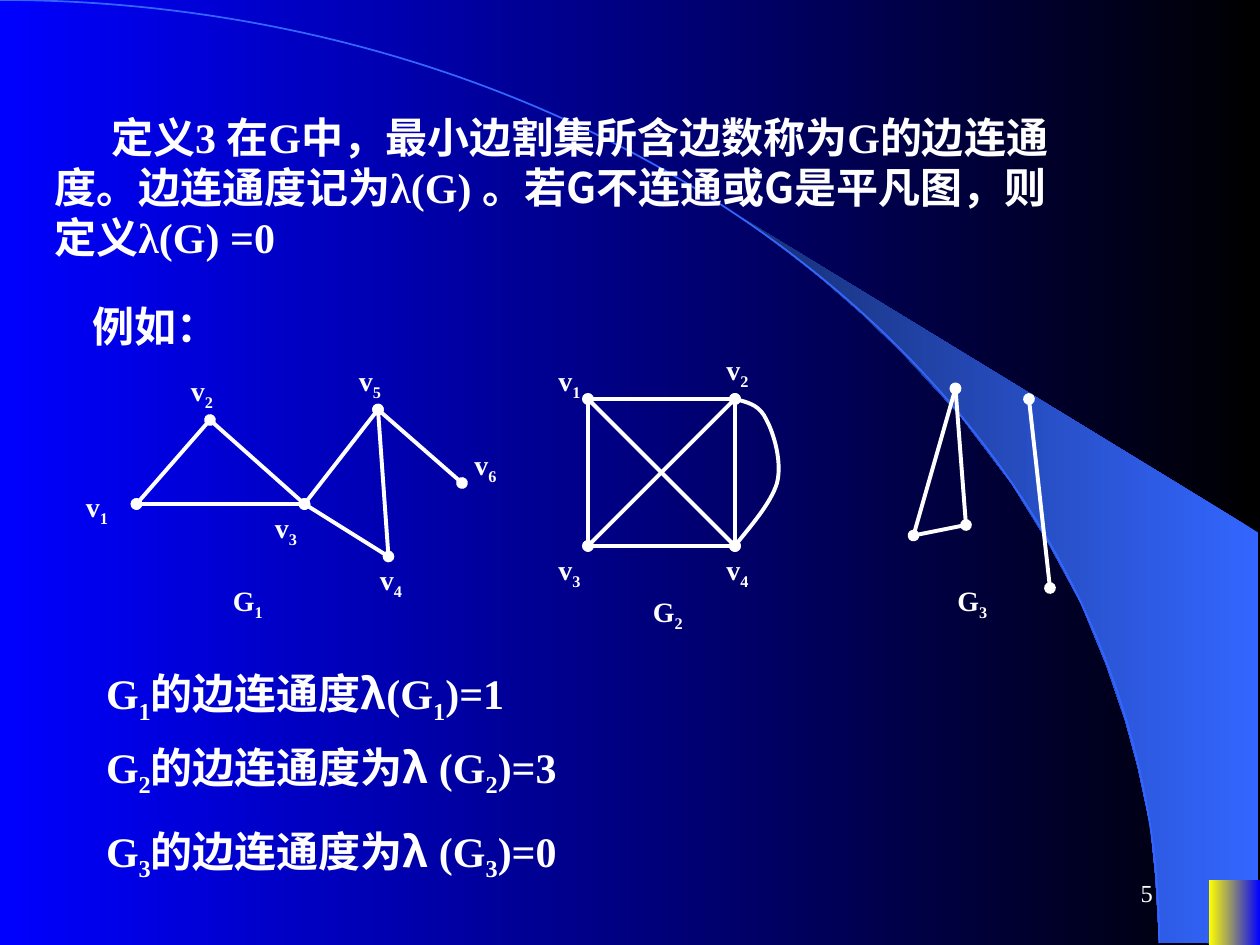
from lxml.etree import SubElement
from pptx import Presentation
from pptx.dml.color import RGBColor
from pptx.enum.shapes import MSO_CONNECTOR, MSO_SHAPE
from pptx.enum.text import MSO_ANCHOR, MSO_AUTO_SIZE, PP_ALIGN
from pptx.oxml.ns import qn
from pptx.util import Inches, Pt

WHITE = RGBColor(0xFF, 0xFF, 0xFF)
BLACK = RGBColor(0, 0, 0)
BLUE = RGBColor(0, 0, 0xFF)
YELLOW = RGBColor(0xFF, 0xFF, 0)
SKY = RGBColor(0x33, 0x66, 0xFF)
NAVY = RGBColor(0x17, 0x2F, 0x75)
SERIF, SANS = "Times New Roman", "Noto Sans CJK SC"
SUB = "sub"

COLUMNS, ROWS = 120, 90
CELL = Inches(10) / COLUMNS

DEFINITION = [
    ("定义3 在G中，最小边割集所含边数称为G的边连通度。边连通度记为λ(G) ", SERIF),
    ("。若G不连通或G是平凡图，则定义", SANS),
    ("λ(G) =0", SERIF),
]
EXAMPLE = [("例如：", SERIF)]
RESULTS = [
    (63, "1", "的边连通度", "(G", ")=1"),
    (70, "2", "的边连通度为", " (G", ")=3"),
    (78, "3", "的边连通度为", " (G", ")=0"),
]
GRAPHS = [
    {
        "name": ("1", 21, 55),
        "vertices": {1: (13, 48), 2: (20, 40), 3: (29, 48),
                     4: (37, 53), 5: (36, 39), 6: (44, 46)},
        "dotted": [(2, 1), (1, 3), (3, 5), (3, 4), (5, 6)],
        "plain": [(2, 3), (5, 4)],
        "labels": {1: (7, 46), 2: (17, 35), 3: (25, 48),
                   4: (35, 53), 5: (33, 34), 6: (44, 42)},
    },
    {
        "name": ("2", 61, 56),
        "vertices": {1: (56, 38), 2: (70, 38), 3: (56, 52), 4: (70, 52)},
        "dotted": [(1, 3), (1, 2), (3, 4), (2, 4)],
        "plain": [(1, 4), (2, 3)],
        "labels": {1: (52, 34), 2: (68, 33), 3: (52, 52), 4: (68, 52)},
    },
    {
        "name": ("3", 90, 55),
        "vertices": {1: (91, 37), 2: (87, 51), 3: (92, 50), 4: (98, 38), 5: (100, 56)},
        "dotted": [(1, 2), (1, 3), (4, 5)],
        "plain": [(2, 3)],
        "labels": {},
    },
]
PARALLEL_EDGE = [
    (70, 38), (71.2, 38.3), (72.4, 38.7), (73, 40), (73.7, 41.3),
    (74.5, 44), (74, 46), (73.4, 48), (70.7, 51), (70, 52),
]
BEAM = [(9.2, 7.48), (9.99, 7.49), (9.99, 4.23), (5.89, 1.73), (6.24, 1.99),
        (6.53, 2.22), (6.85, 2.5), (7.16, 2.8), (7.62, 3.3), (8.03, 3.84),
        (8.32, 4.31), (8.58, 4.79), (8.78, 5.28), (8.93, 5.72), (9.03, 6.09),
        (9.13, 6.56), (9.17, 6.96), (9.2, 7.48)]


def cells(*lengths):
    return [round(length * CELL) for length in lengths]


def set_gradient(fill, start, end):
    fill.gradient()
    fill.gradient_angle = 180
    for stop, color in zip(fill.gradient_stops, (start, end)):
        stop.color.rgb = color


def set_line(line, color, width, dots=False):
    line.color.rgb = color
    line.width = Pt(width)
    if dots:
        for end in ("a:headEnd", "a:tailEnd"):
            SubElement(line._get_or_add_ln(), qn(end), type="oval")


def add_outline(page, points):
    builder = page.shapes.build_freeform(*points[0])
    builder.add_line_segments(points[1:], close=False)
    shape = builder.convert_to_shape()
    shape.shadow.inherit = False
    return shape


def add_curve(page, points):
    shape = add_outline(page, [cells(*point) for point in points])
    outline = next(shape._element.iter(qn("a:path")))
    lines = outline.findall(qn("a:lnTo"))
    for first in range(0, len(lines), 3):
        bend = SubElement(outline, qn("a:cubicBezTo"))
        for line in lines[first:first + 3]:
            bend.append(line[0])
            outline.remove(line)
    shape.fill.background()
    set_line(shape.line, WHITE, 2.25, dots=True)


def add_text(page, place, spans, size, indent=0, bold=True):
    box = page.shapes.add_textbox(*cells(*place))
    frame = box.text_frame
    frame.word_wrap = True
    frame.auto_size = MSO_AUTO_SIZE.SHAPE_TO_FIT_TEXT
    para = frame.paragraphs[0]
    properties = para._p.get_or_add_pPr()
    properties.set("marL", "0")
    properties.set("indent", str(Inches(indent)))
    properties.set("hangingPunct", "0")
    para.font.size = Pt(size)
    para.font.bold = bold
    para.font.color.rgb = WHITE
    para.font.name = SERIF
    SubElement(properties.find(qn("a:defRPr")), qn("a:ea"), typeface=SANS)
    for text, style in spans:
        span = para.add_run()
        span.text = text
        if style == SUB:
            span._r.get_or_add_rPr().set("baseline", "-25000")
        elif style != SERIF:
            span.font.name = style
    return box


def add_label(page, letter, index, left, top, width):
    add_text(page, (left, top, width, 4.9), [(letter, SERIF), (index, SUB)], 16)


def add_edge(page, start, end, dots):
    edge = page.shapes.add_connector(MSO_CONNECTOR.STRAIGHT, *cells(*start, *end))
    set_line(edge.line, WHITE, 2.25, dots)
    SubElement(edge._element.spPr, qn("a:effectLst"))


def add_backdrop(page):
    set_gradient(page.background.fill, BLACK, BLUE)
    beam = add_outline(page, [(Inches(x), Inches(y)) for x, y in BEAM])
    set_gradient(beam.fill, SKY, NAVY)
    beam.line.fill.background()
    horizon = page.shapes.add_shape(MSO_SHAPE.ARC, *cells(-110.4, 0, 220.8, 179.64))
    horizon.shadow.inherit = False
    horizon.fill.background()
    set_line(horizon.line, SKY, 1)
    corner = page.shapes.add_shape(MSO_SHAPE.RECTANGLE, *cells(115.15, 83.8, 4.85, 6.2))
    corner.shadow.inherit = False
    set_gradient(corner.fill, BLUE, YELLOW)
    corner.line.fill.background()


def add_graph(page, graph):
    vertices = graph["vertices"]
    for kind in ("dotted", "plain"):
        for start, end in graph[kind]:
            add_edge(page, vertices[start], vertices[end], kind == "dotted")
    for number, (left, top) in graph["labels"].items():
        add_label(page, "v", str(number), left, top, 6.2)
    index, left, top = graph["name"]
    add_label(page, "G", index, left, top, 8)


def main():
    deck = Presentation()
    deck.slide_width, deck.slide_height = cells(COLUMNS, ROWS)
    page = deck.slides.add_slide(deck.slide_layouts[6])
    add_backdrop(page)
    add_text(page, (4, 10, 99, 15.6), DEFINITION, 24, indent=0.45)
    add_text(page, (4, 28, 99, 6), EXAMPLE, 24, indent=0.3)
    for graph in GRAPHS:
        add_graph(page, graph)
    add_curve(page, PARALLEL_EDGE)
    for top, index, phrase, opening, value in RESULTS:
        spans = [("G", SERIF), (index, SUB), (phrase, SERIF), ("λ", SANS),
                 (opening, SERIF), (index, SUB), (value, SERIF)]
        add_text(page, (4, top, 103, 6.7), spans, 24, indent=0.41)
    number = add_text(page, (86, 82, 25, 6), [("5", SERIF)], 14, bold=False)
    number.text_frame.auto_size = MSO_AUTO_SIZE.NONE
    number.text_frame.vertical_anchor = MSO_ANCHOR.MIDDLE
    number.text_frame.paragraphs[0].alignment = PP_ALIGN.RIGHT
    deck.save("out.pptx")


if __name__ == "__main__":
    main()
